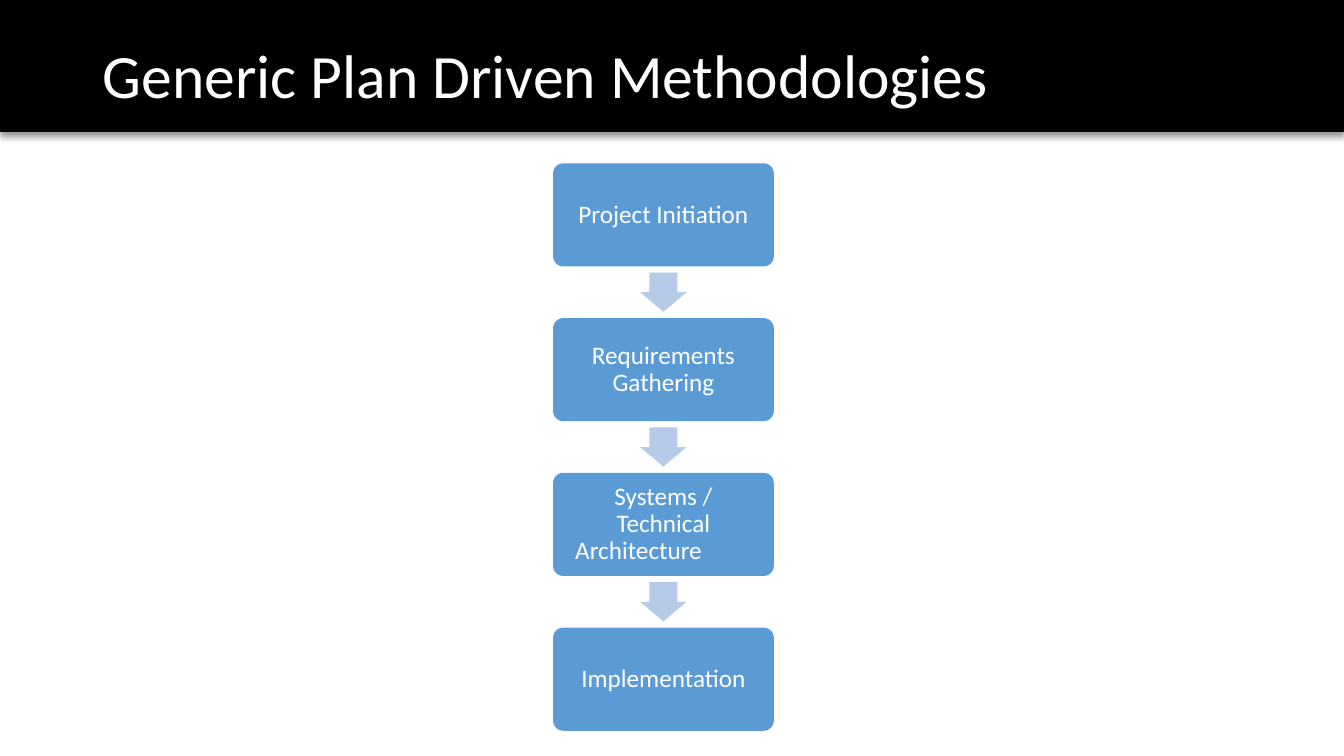
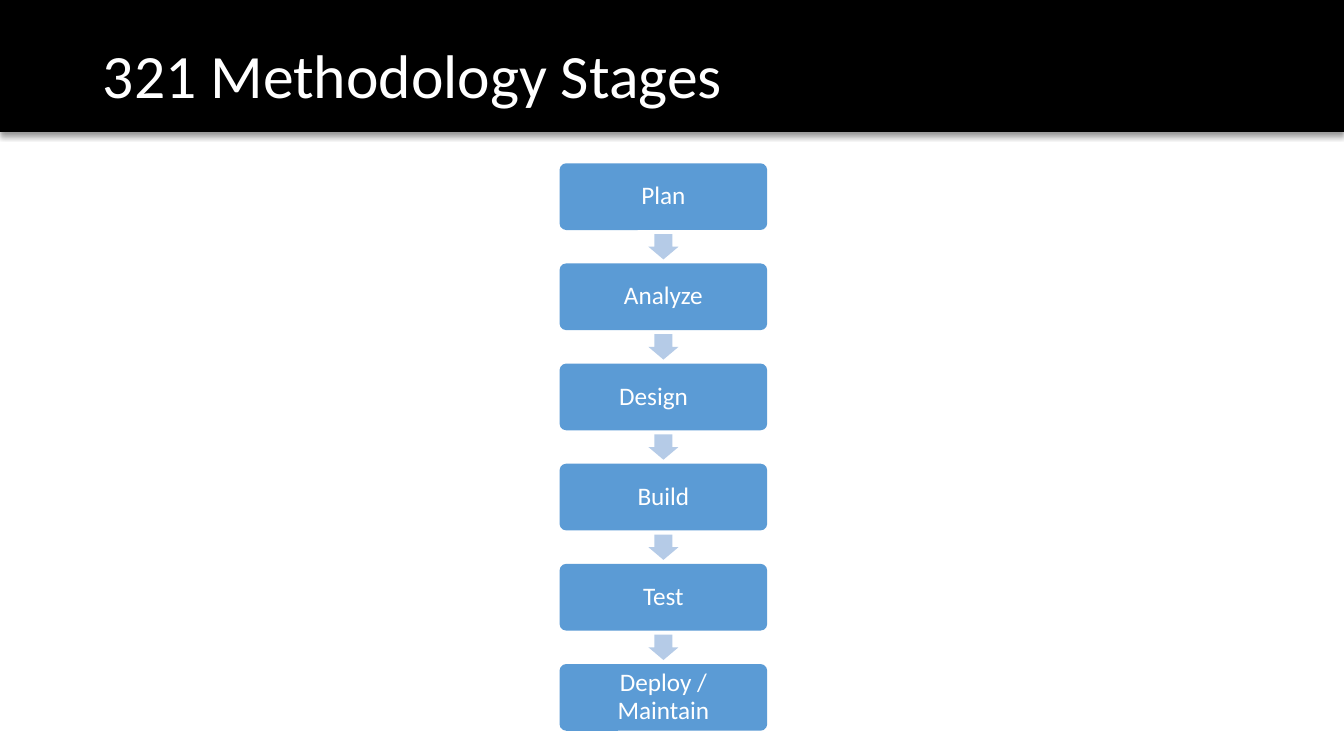
from dataclasses import dataclass

from pptx import Presentation
from pptx import util as u
from pptx.dml.color import RGBColor
from pptx.enum import shapes, text
from pptx.oxml import parse_xml
from pptx.oxml.ns import nsdecls
from pptx.slide import Slide, SlideLayout


@dataclass(frozen=True)
class Theme:
    band: str = "000000"
    stage: str = "5B9BD5"
    arrow: str = "B5CBE7"
    lettering: str = "FFFFFF"
    font: str = "Calibri"
    title_size: int = 44
    stage_size: int = 18
    line_spacing: float = 0.9


@dataclass(frozen=True)
class Process:
    title: str
    stage_width: float
    stages: tuple[str, ...]


THEME = Theme()
SLIDE_WIDTH, SLIDE_HEIGHT = 13.33, 7.5
BAND_HEIGHT = 1.31
TITLE_LEFT, TITLE_TOP, TITLE_WIDTH = 0.92, 0.4, 11.5
FLOW_CENTER, FLOW_TOP, FLOW_HEIGHT = 6.58, 1.62, 5.63
GAP_SHARE, ARROW_WIDTH_SHARE, ARROW_HEIGHT_SHARE = 0.5, 0.45, 0.38
STAGE_INSET = 0.1
TAB_STOP = u.Inches(0.875)

PROCESSES = (
    Process(
        "Generic Plan Driven Methodologies",
        2.19,
        (
            "Project Initiation",
            "Requirements Gathering",
            "Systems / Technical Architecture\t",
            "Implementation",
        ),
    ),
    Process(
        "321 Methodology Stages",
        2.06,
        ("Plan", "Analyze", "Design\t", "Build", "Test", "Deploy / Maintain"),
    ),
)


def add_block(slide: Slide, kind: shapes.MSO_SHAPE, left: float, top: float,
              width: float, height: float, color: str):
    block = slide.shapes.add_shape(
        kind, u.Inches(left), u.Inches(top), u.Inches(width), u.Inches(height))
    block.shadow.inherit = False
    block.fill.solid()
    block.fill.fore_color.rgb = RGBColor.from_string(color)
    block.line.fill.background()
    return block


def write(frame: text.MSO_ANCHOR, words: str, size: int, align: text.PP_ALIGN,
          anchor: text.MSO_ANCHOR) -> None:
    frame.text = words
    frame.word_wrap = True
    frame.vertical_anchor = anchor
    paragraph = frame.paragraphs[0]
    paragraph.alignment = align
    paragraph.line_spacing = THEME.line_spacing
    for run in paragraph.runs:
        run.font.name = THEME.font
        run.font.size = u.Pt(size)
        run.font.color.rgb = RGBColor.from_string(THEME.lettering)


def prepare_layout(layout: SlideLayout, first_slide: Slide) -> None:
    band = add_block(first_slide, shapes.MSO_SHAPE.RECTANGLE,
                     0, 0, SLIDE_WIDTH, BAND_HEIGHT, THEME.band)
    properties = band.element.spPr
    properties.remove(properties.find(
        "{http://schemas.openxmlformats.org/drawingml/2006/main}effectLst"))
    properties.append(parse_xml(
        f'<a:effectLst {nsdecls("a")}>'
        f'<a:outerShdw blurRad="{u.Pt(4)}" dist="{u.Pt(3)}" dir="5400000" '
        f'algn="t" rotWithShape="0"><a:srgbClr val="{THEME.band}">'
        '<a:alpha val="40000"/></a:srgbClr></a:outerShdw></a:effectLst>'))
    layout.shapes.element.insert(2, band.element)

    heading = layout.placeholders[0]
    heading.left, heading.top = u.Inches(TITLE_LEFT), u.Inches(TITLE_TOP)
    heading.width = u.Inches(TITLE_WIDTH)
    heading.height = u.Inches(BAND_HEIGHT - TITLE_TOP)


def draw_process(slide: Slide, process: Process) -> None:
    write(slide.shapes.title.text_frame, process.title, THEME.title_size,
          text.PP_ALIGN.LEFT, text.MSO_ANCHOR.TOP)
    count = len(process.stages)
    height = FLOW_HEIGHT / (count + (count - 1) * GAP_SHARE)
    gap = height * GAP_SHARE
    arrow_width = height * ARROW_WIDTH_SHARE
    arrow_height = height * ARROW_HEIGHT_SHARE
    for row, words in enumerate(process.stages):
        top = FLOW_TOP + row * (height + gap)
        stage = add_block(slide, shapes.MSO_SHAPE.ROUNDED_RECTANGLE,
                          FLOW_CENTER - process.stage_width / 2, top,
                          process.stage_width, height, THEME.stage)
        stage.adjustments[0] = 0.1
        frame = stage.text_frame
        frame.margin_left = frame.margin_right = u.Inches(STAGE_INSET)
        frame.margin_top = frame.margin_bottom = u.Inches(STAGE_INSET)
        write(frame, words, THEME.stage_size,
              text.PP_ALIGN.CENTER, text.MSO_ANCHOR.MIDDLE)
        frame.paragraphs[0]._p.get_or_add_pPr().set("defTabSz", str(TAB_STOP))
        if row < count - 1:
            arrow = add_block(slide, shapes.MSO_SHAPE.DOWN_ARROW,
                              FLOW_CENTER - arrow_width / 2,
                              top + height + (gap - arrow_height) / 2,
                              arrow_width, arrow_height, THEME.arrow)
            arrow.adjustments[0] = 0.6
            arrow.adjustments[1] = 0.5


def main() -> None:
    deck = Presentation()
    deck.slide_width = u.Inches(SLIDE_WIDTH)
    deck.slide_height = u.Inches(SLIDE_HEIGHT)
    layout = deck.slide_layouts.get_by_name("Title Only")
    slides = [deck.slides.add_slide(layout) for _ in PROCESSES]
    prepare_layout(layout, slides[0])
    for slide, process in zip(slides, PROCESSES):
        draw_process(slide, process)
    deck.save("out.pptx")


if __name__ == "__main__":
    main()
